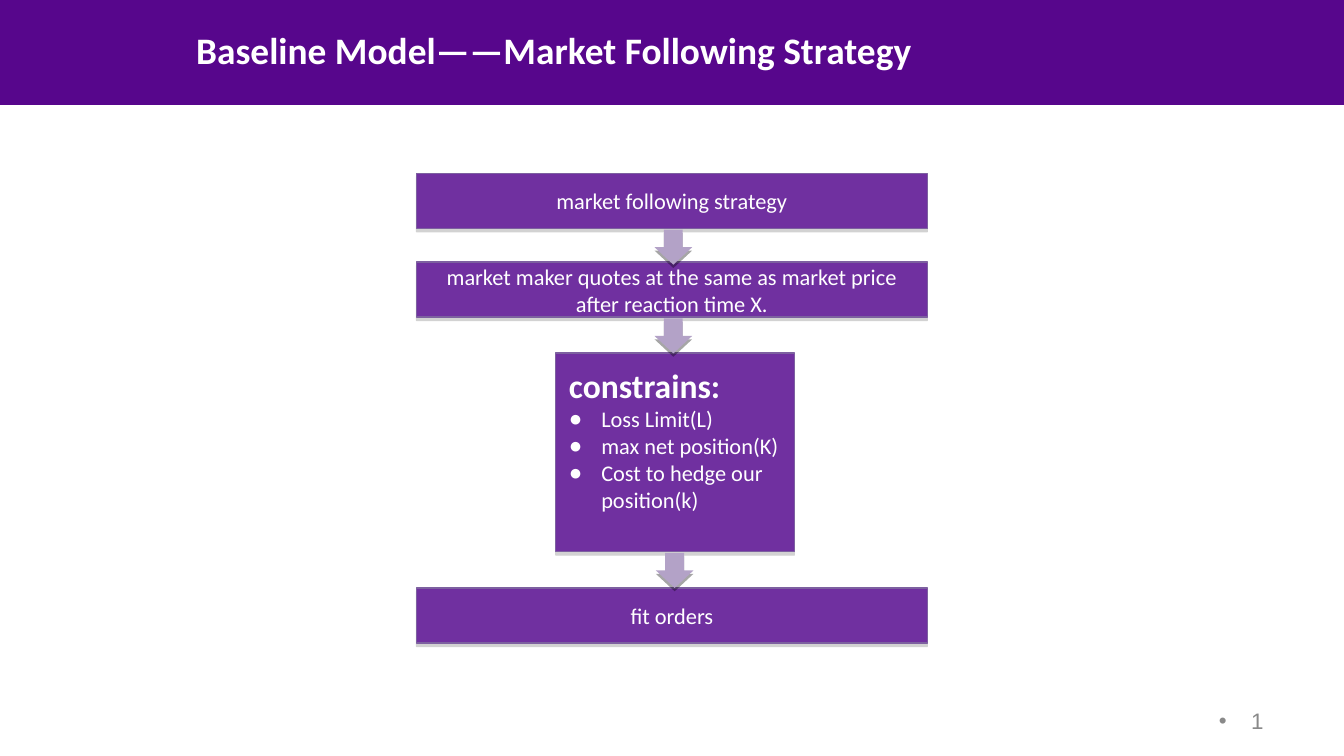
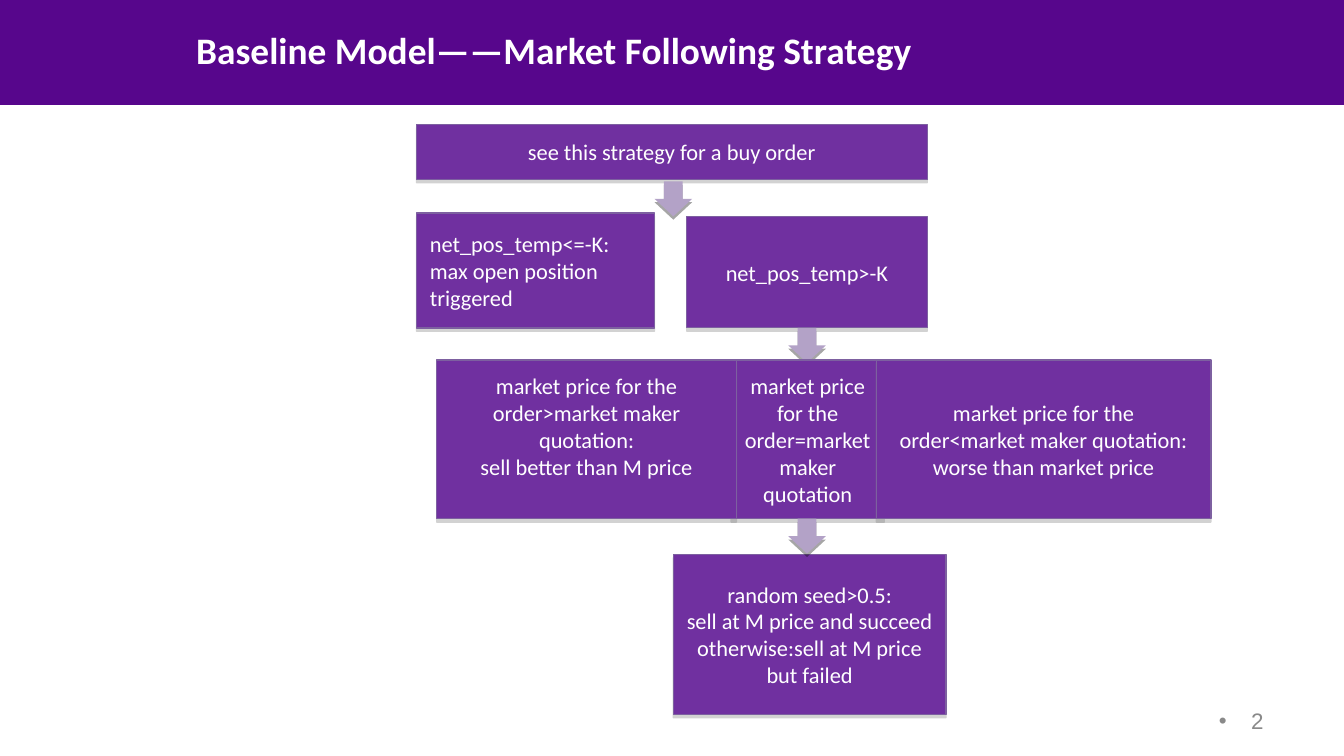
from lxml.etree import SubElement
from pptx import Presentation
from pptx.dml.color import RGBColor
from pptx.enum.shapes import MSO_SHAPE as SHAPE
from pptx.enum.text import MSO_ANCHOR as ANCHOR, MSO_AUTO_SIZE as AUTO_SIZE, PP_ALIGN as ALIGN
from pptx.oxml.ns import qn
from pptx.util import Pt

PX = 4572  # EMU in one px, 200 px to the inch
COLORS = {
    "band": "57068C",
    "step": "7030A0",
    "step_line": "7D60A0",
    "step_shadow": "808080",
    "arrow": "B3A2C7",
    "arrow_shadow": "000000",
    "text": "FFFFFF",
    "number": "898989",
}
TITLE = "Baseline Model——Market Following Strategy"
TITLE_ONLY = 5
STEP_LEFT, STEP_WIDTH, STEP_HEIGHT = 620, 760, 82
ARROW_WIDTH, ARROW_HEIGHT = 56, 52
BULLET_INDENT = 48


def color(name):
    return RGBColor.from_string(COLORS[name])


def px(*lengths):
    return [length * PX for length in lengths]


class Deck:
    def __init__(self, width, height):
        self.prs = Presentation()
        self.prs.slide_width, self.prs.slide_height = px(width, height)
        self.layout = self.prs.slide_layouts[TITLE_ONLY]
        self.slide = None

    def add_slide(self, title):
        self.slide = self.prs.slides.add_slide(self.layout)
        if len(self.prs.slides) == 1:
            self.add_band()
        self.format_title(title)

    def add_band(self):
        """Draw the title band and move it to the layout, behind everything."""
        band = self.shape(SHAPE.RECTANGLE, (0, 0, 2002, 156), "band")
        self.layout.shapes.element.insert(2, band.element)

    def format_title(self, text):
        title = self.slide.shapes.title
        title.left, title.top, title.width, title.height = px(292, 40, 1332, 72)
        frame = title.text_frame
        self.set_frame(frame, ANCHOR.TOP, (0, 0, 0, 0))
        frame.text = text
        self.format_text(frame.paragraphs[0], ALIGN.LEFT, 20, bold=True)

    def set_frame(self, frame, anchor, margins=(20, 10, 20, 10)):
        frame.word_wrap = True
        frame.auto_size = AUTO_SIZE.NONE
        frame.vertical_anchor = anchor
        (frame.margin_left, frame.margin_top,
         frame.margin_right, frame.margin_bottom) = px(*margins)

    def format_text(self, paragraph, align, size=12, bold=False, tone="text", face="Calibri"):
        paragraph.alignment = align
        for run in paragraph.runs:
            font = run.font
            font.name, font.size, font.bold = face, Pt(size), bold
            font.color.rgb = color(tone)

    def bullet(self, paragraph, char, tone):
        props = paragraph._p.get_or_add_pPr()
        props.set("marL", str(BULLET_INDENT * PX))
        props.set("indent", str(-BULLET_INDENT * PX))
        bullet_color = SubElement(props, qn("a:buClr"))
        SubElement(bullet_color, qn("a:srgbClr"), val=COLORS[tone])
        SubElement(props, qn("a:buFont"), typeface="Arial")
        SubElement(props, qn("a:buChar"), char=char)

    def shape(self, kind, box, fill, line=None, shadow=None):
        shape = self.slide.shapes.add_shape(kind, *px(*box))
        shape.fill.solid()
        shape.fill.fore_color.rgb = color(fill)
        if line:
            shape.line.color.rgb = color(line)
            shape.line.width = Pt(0.75)
        else:
            shape.line.fill.background()
        shape.shadow.inherit = False
        if shadow:
            effects = shape.element.spPr.find(qn("a:effectLst"))
            drop = SubElement(effects, qn("a:outerShdw"), blurRad="0", dist=str(Pt(1.8)),
                              dir="5400000", rotWithShape="0")
            tone = SubElement(drop, qn("a:srgbClr"), val=COLORS[shadow])
            SubElement(tone, qn("a:alpha"), val="35000")
        return shape

    def step(self, box, text, align=ALIGN.CENTER, bottom=10):
        """Add a flow box; a larger bottom margin lifts its text."""
        shape = self.shape(SHAPE.RECTANGLE, box, "step", "step_line", "step_shadow")
        frame = shape.text_frame
        self.set_frame(frame, ANCHOR.MIDDLE, (20, 10, 20, bottom))
        frame.text = text
        for paragraph in frame.paragraphs:
            self.format_text(paragraph, align)
        return frame

    def wide_step(self, top, text):
        self.step((STEP_LEFT, top, STEP_WIDTH, STEP_HEIGHT), text)

    def arrow(self, center, top):
        box = (center - ARROW_WIDTH // 2, top, ARROW_WIDTH, ARROW_HEIGHT)
        self.shape(SHAPE.DOWN_ARROW, box, "arrow", shadow="arrow_shadow")

    def page_number(self):
        frame = self.slide.shapes.add_textbox(*px(1434, 1042, 466, 60)).text_frame
        self.set_frame(frame, ANCHOR.MIDDLE)
        frame.text = str(len(self.prs.slides))
        number = frame.paragraphs[0]
        self.bullet(number, "•", "number")
        self.format_text(number, ALIGN.RIGHT, tone="number", face="Arial")


def add_strategy(deck):
    deck.add_slide(TITLE)
    deck.wide_step(390, "market maker quotes at the same as market price after reaction time X.")
    constraints = deck.step(
        (827, 525, 355, 296),
        "constrains:\nLoss Limit(L)\nmax net position(K)\nCost to hedge our position(k)",
        ALIGN.LEFT, bottom=50)
    heading, *limits = constraints.paragraphs
    deck.format_text(heading, ALIGN.LEFT, 18, bold=True)
    for limit in limits:
        deck.bullet(limit, "●", "text")
    deck.wide_step(875, "fit orders")
    deck.wide_step(258, "market following strategy")
    for center, top in ((1002, 342), (1002, 474), (1004, 823)):
        deck.arrow(center, top)
    deck.page_number()


def add_buy_order(deck):
    deck.add_slide(TITLE)
    deck.step((620, 317, 354, 171), "net_pos_temp<=-K:\nmax open position triggered", ALIGN.LEFT)
    deck.step((1022, 322, 358, 166), "net_pos_temp>-K")
    deck.step((1002, 825, 406, 238),
              "random seed>0.5:\nsell at M price and succeed\notherwise:sell at M price but failed")
    deck.wide_step(185, "see this strategy for a buy order")
    deck.arrow(1002, 270)
    deck.arrow(1201, 488)
    deck.page_number()

    price_cases = [
        (1088, 228, "market price for the order=market maker quotation", 10),
        (650, 446, "market price for the order>market maker quotation:\nsell better than M price", 50),
        (1304, 498, "market price for the order<market maker quotation:\nworse than market price", 10),
    ]
    for left, width, text, bottom in price_cases:
        deck.step((left, 536, width, 236), text, bottom=bottom)
    deck.arrow(1201, 772)


def main():
    deck = Deck(2000, 1125)
    add_strategy(deck)
    add_buy_order(deck)
    deck.prs.save("out.pptx")


if __name__ == "__main__":
    main()
